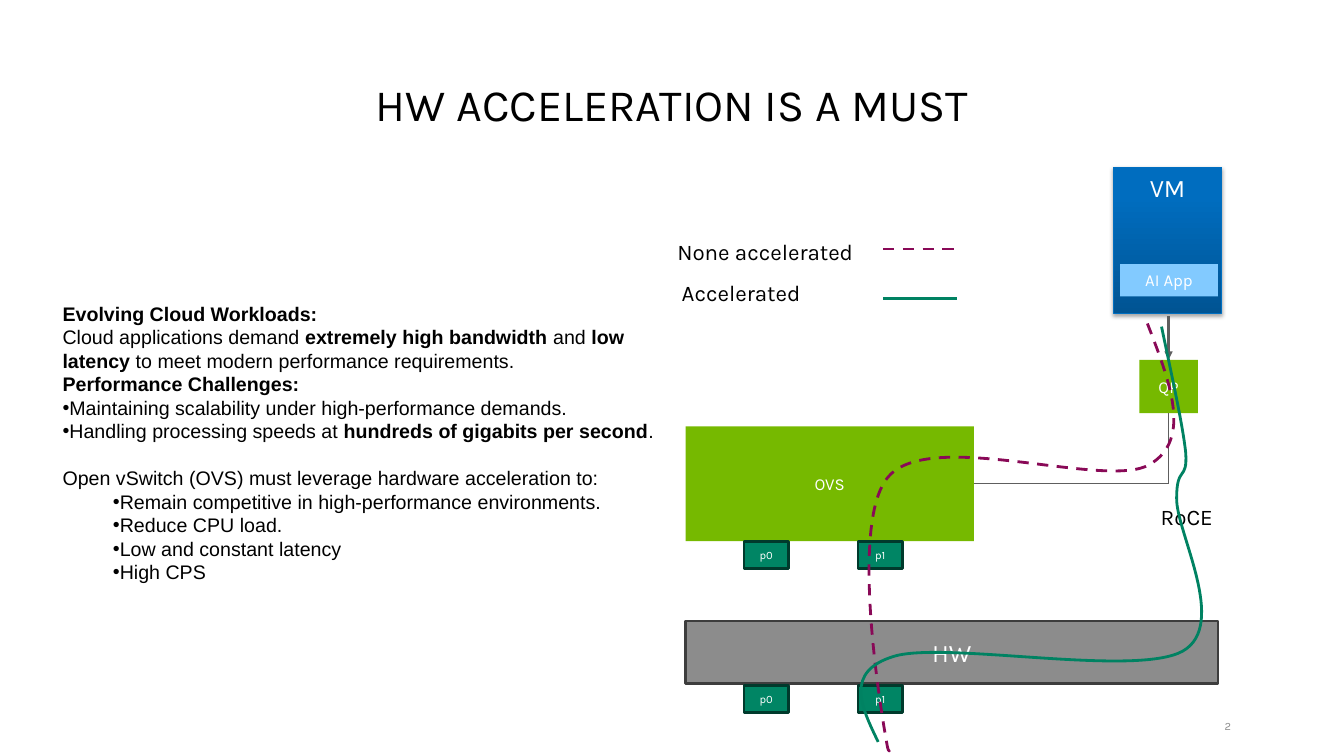
from lxml.etree import SubElement
from pptx import Presentation
from pptx.dml.color import RGBColor
from pptx.enum.dml import MSO_LINE
from pptx.enum.shapes import MSO_CONNECTOR, MSO_SHAPE
from pptx.enum.text import MSO_ANCHOR, MSO_AUTO_SIZE, PP_ALIGN
from pptx.oxml.ns import qn
from pptx.util import Inches, Pt

PURPLE, GREEN, GREY, LIME = "890957", "008262", "5E5E5E", "76B900"


def rgb(value):
    return RGBColor.from_string(value)


def write(shape, text, size, color, align=PP_ALIGN.CENTER, anchor=MSO_ANCHOR.MIDDLE):
    frame = shape.text_frame
    frame.text = text
    frame.word_wrap = True
    frame.auto_size = MSO_AUTO_SIZE.NONE
    frame.vertical_anchor = anchor
    paragraph = frame.paragraphs[0]
    paragraph.alignment = align
    font = paragraph.runs[0].font
    font.name, font.size, font.color.rgb = "Karla", Pt(size), rgb(color)
    return frame


prs = Presentation()
prs.slide_width, prs.slide_height = Inches(13.33), Inches(7.5)
slide = prs.slides.add_slide(prs.slide_layouts[1])

# Title
title = slide.shapes.title
title.left, title.top, title.width, title.height = map(Inches, (0.61, 0.63, 12.12, 0.72))
write(title, "HW ACCELERATION IS A MUST", 32, "000000", anchor=MSO_ANCHOR.BOTTOM)
title.text_frame.paragraphs[0].line_spacing = 0.9

# Body: level (None = no bullet), space before, pieces alternating regular and bold
arguments = [
    (None, 0, ["", "Evolving Cloud Workloads:", "\n", "",
               "Cloud applications demand ", "extremely high bandwidth", " and ",
               "low latency", " to meet modern performance requirements."]),
    (None, 0, ["", "Performance Challenges:"]),
    (0, 0, ["Maintaining scalability under high-performance demands."]),
    (0, 0, ["Handling processing speeds at ", "hundreds of gigabits per second", "."]),
    (None, 16.8, ["Open vSwitch (OVS) must leverage hardware acceleration to:"]),
    (1, 0, ["Remain competitive in high-performance environments."]),
    (1, 0, ["Reduce CPU load."]),
    (1, 0, ["Low and constant latency"]),
    (1, 0, ["High CPS"]),
]
body = slide.placeholders[1]
body.left, body.top, body.width, body.height = map(Inches, (0.52, 2.92, 6.17, 3.16))
body_frame = body.text_frame
body_frame.word_wrap = True
body_frame.auto_size = MSO_AUTO_SIZE.NONE
body_frame.vertical_anchor = MSO_ANCHOR.TOP
body_frame.margin_top = Inches(0.07)
for index, (level, gap, pieces) in enumerate(arguments):
    paragraph = body_frame.paragraphs[0] if index == 0 else body_frame.add_paragraph()
    paragraph.level = level or 0
    paragraph.alignment = PP_ALIGN.LEFT
    paragraph.space_before, paragraph.space_after = Pt(gap), Pt(0)
    paragraph.line_spacing = Pt(16.8)
    properties = paragraph._p.get_or_add_pPr()
    properties.set("marL", str(Inches(0.5) if level else 0))
    properties.set("indent", "0")
    if level is None:
        SubElement(properties, qn("a:buNone"))
    else:
        SubElement(properties, qn("a:buFont"), typeface="Arial")
        SubElement(properties, qn("a:buChar"), char="•")
    for position, piece in enumerate(pieces):
        if piece == "\n":
            paragraph.add_line_break()
        elif piece:
            run = paragraph.add_run()
            run.text = piece
            run.font.name, run.font.size = "Arial", Pt(14)
            run.font.bold = position % 2 == 1
            run.font.color.rgb = rgb("000000")

# Components and ports: text, place, size, fill, outline
components = [
    ("VM", (11.04, 1.66, 1.08, 1.45), 18, "006DBF", ("006FC1", 0.75)),
    ("QP", (11.3, 3.57, 0.58, 0.53), 12, LIME, None),
    ("AI App", (11.11, 2.62, 0.97, 0.32), 12, "82CAFF", None),
    ("OVS", (6.8, 4.23, 2.86, 1.14), 12, LIME, None),
    ("HW", (6.8, 6.16, 5.28, 0.62), 18, "8C8C8C", ("3D3D3D", 2)),
]
for port_top in (5.37, 6.8):
    for port, port_left in (("p0", 7.38), ("p1", 8.51)):
        components.append((port, (port_left, port_top, 0.44, 0.27), 8,
                           "008564", ("003A2C", 2)))
for name, place, size, fill, outline in components:
    component = slide.shapes.add_shape(MSO_SHAPE.RECTANGLE, *map(Inches, place))
    component.shadow.inherit = False
    component.fill.solid()
    component.fill.fore_color.rgb = rgb(fill)
    if outline:
        component.line.color.rgb, component.line.width = rgb(outline[0]), Pt(outline[1])
    else:
        component.line.fill.background()
    frame = write(component, name, size, "FFFFFF")
    if name == "VM":
        frame.vertical_anchor = MSO_ANCHOR.TOP
        component.fill.gradient()
        component.fill.gradient_angle = 90
        for stop, (at, shade) in zip(component.fill.gradient_stops,
                                     ((0, "005493"), (0.8, "006DBF"))):
            stop.position, stop.color.rgb = at, rgb(shade)
        shadow = SubElement(component._element.spPr.find(qn("a:effectLst")),
                            qn("a:outerShdw"), blurRad=str(Pt(3.1)),
                            dist=str(Pt(1.8)), dir="5400000", rotWithShape="0")
        shade = SubElement(shadow, qn("a:srgbClr"), val="000000")
        SubElement(shade, qn("a:alpha"), val="35000")
    else:
        frame.margin_left = frame.margin_right = 0
        frame.margin_top = frame.margin_bottom = 0

# Legend and protocol labels
for label, left, top, width in (("RoCE", 11.23, 4.97, 1.08),
                                ("None accelerated", 6.16, 2.34, 2.86),
                                ("Accelerated", 5.92, 2.75, 2.86)):
    caption = slide.shapes.add_textbox(*map(Inches, (left, top, width, 0.34)))
    write(caption, label, 16, "000000").paragraphs[0].line_spacing = 0.9

# Links and legend strokes: ends, colour, width, dashed, arrow
for ends, color, width, dashed, arrow in (
    ((11.59, 3.14, 11.59, 3.57), GREY, 1.5, False, True),
    ((11.59, 4.1, 11.59, 4.8), GREY, 0.75, False, False),
    ((11.59, 4.8, 9.66, 4.8), GREY, 0.75, False, False),
    ((8.76, 2.47, 9.49, 2.47), PURPLE, 2, True, False),
    ((8.76, 2.96, 9.49, 2.96), GREEN, 2, False, False),
):
    link = slide.shapes.add_connector(MSO_CONNECTOR.STRAIGHT, *map(Inches, ends))
    link.line.color.rgb, link.line.width = rgb(color), Pt(width)
    if dashed:
        link.line.dash_style = MSO_LINE.DASH
    if arrow:
        SubElement(link.line._get_or_add_ln(), qn("a:tailEnd"), type="triangle")
    SubElement(link._element.spPr, qn("a:effectLst"))

# Traffic routes: colour, dashed, frame, start, cubic curves
routes = [
    (PURPLE, True, (8.62, 3.21, 3.02, 4.24), (11.38, 3.21), [
        ((11.6, 3.78), (11.83, 4.36), (11.4, 4.61)),
        ((10.97, 4.86), (9.25, 4.25), (8.82, 4.72)),
        ((8.38, 5.18), (8.8, 7.4), (8.8, 7.4)),
        ((8.8, 7.41), (8.81, 7.45), (8.82, 7.45)),
        ((8.82, 7.45), (8.83, 7.42), (8.83, 7.39)),
    ]),
    (GREEN, False, (8.54, 3.24, 3.38, 4.12), (11.52, 3.24), [
        ((11.62, 3.72), (11.73, 4.21), (11.76, 4.49)),
        ((11.78, 4.78), (11.67, 4.61), (11.67, 4.94)),
        ((11.66, 5.27), (12.19, 6.2), (11.73, 6.46)),
        ((11.26, 6.72), (9.38, 6.36), (8.87, 6.51)),
        ((8.37, 6.66), (8.54, 7.01), (8.71, 7.36)),
    ]),
]
for color, dashed, (left, top, width, height), start, curves in routes:
    builder = slide.shapes.build_freeform(*map(Inches, start))
    builder.add_line_segments([tuple(map(Inches, curve[-1])) for curve in curves],
                              close=False)
    route = builder.convert_to_shape()
    route.left, route.top, route.width, route.height = map(
        Inches, (left, top, width, height))
    # Bend the straight segments into curves
    outline = next(route._element.iter(qn("a:path")))
    outline.set("w", str(Inches(width)))
    outline.set("h", str(Inches(height)))
    for child in list(outline):
        outline.remove(child)
    for tag, points in [("a:moveTo", [start])] + [("a:cubicBezTo", c) for c in curves]:
        segment = SubElement(outline, qn(tag))
        for x, y in points:
            SubElement(segment, qn("a:pt"), x=str(Inches(x - left)), y=str(Inches(y - top)))
    route.shadow.inherit = False
    route.fill.background()
    route.line.color.rgb, route.line.width = rgb(color), Pt(2)
    if dashed:
        route.line.dash_style = MSO_LINE.DASH

# Slide number
number = slide.shapes.add_textbox(*map(Inches, (11.85, 7.14, 0.36, 0.13)))
number_frame = write(number, "2", 8, "8C8C8C", align=PP_ALIGN.RIGHT)
number_frame.margin_left = number_frame.margin_right = 0
number_frame.margin_top = number_frame.margin_bottom = 0

prs.save("out.pptx")
